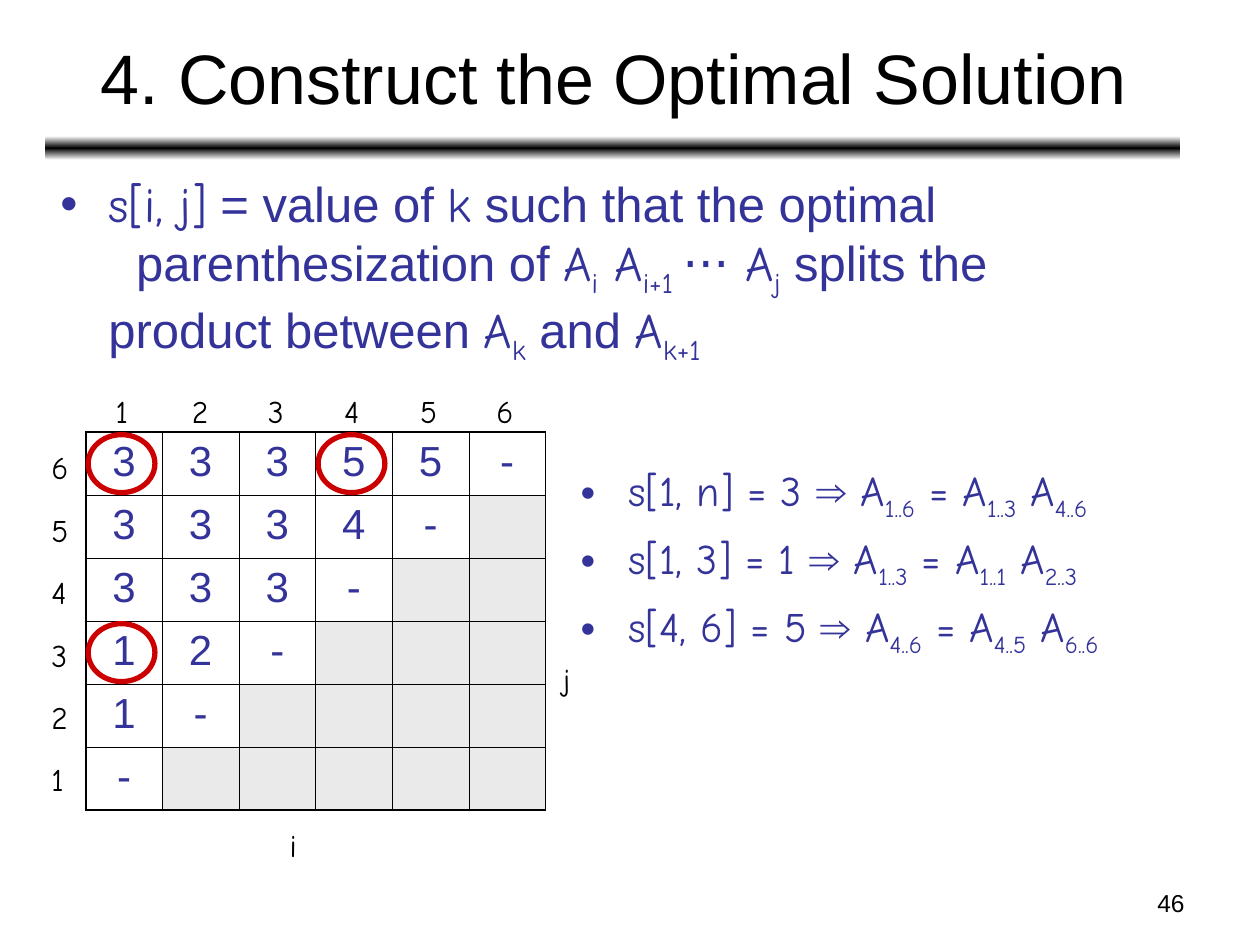
from lxml import etree
from pptx import Presentation
from pptx import util as u
from pptx.dml.color import RGBColor
from pptx.enum import shapes, text
from pptx.oxml import parse_xml
from pptx.oxml.ns import nsdecls, qn

COLUMNS, ROWS = 100, 75
BLACK, INDIGO, GREY, RED = "000000", "333399", "EAEAEA", "CC0000"
SANS, HAND = "Arial", "Comic Neue"
SPLITS = ["33355-", "3334-", "333-", "12-", "1-", "-"]
SIZE = len(SPLITS)
CIRCLED = [(0, 0), (3, 0), (0, 3)]
DEFINITION = [
    (3.8, "•", [("s[i, j]", HAND), (" = value of ", SANS), ("k", HAND),
                (" such that the optimal", SANS)]),
    (6, None, [("parenthesization of ", SANS), ("A", HAND), ("i", "sub"), (" A", HAND),
               ("i+1 ", "sub"), ("⋅⋅⋅", SANS), (" A", HAND), ("j", "sub"),
               (" splits the", SANS)]),
    (3.8, None, [("product between ", SANS), ("A", HAND), ("k", "sub"), (" and ", SANS),
                 ("A", HAND), ("k+1", "sub")]),
]
STEPS = [
    ("s[1, n] = 3 ", "1..6", "1..3", "4..6"),
    ("s[1, 3] = 1 ", "1..3", "1..1", "2..3"),
    ("s[4, 6] = 5 ", "4..6", "4..5", "6..6"),
]

deck = Presentation()
deck.slide_width, deck.slide_height = u.Inches(10), u.Inches(7.5)


def color(value):
    """Turn a hex string into a colour."""
    return RGBColor.from_string(value)


def across(count):
    """Length of a number of grid columns."""
    return u.Emu(int(deck.slide_width * count / COLUMNS))


def down(count):
    """Length of a number of grid rows."""
    return u.Emu(int(deck.slide_height * count / ROWS))


def area(box):
    """Turn a box in grid units into left, top, width and height."""
    left, top, width, height = box
    return across(left), down(top), across(width), down(height)


def assign(target, values):
    """Set attributes from a dict of values."""
    for name, value in values.items():
        setattr(target, name, value)


def place(part, box):
    """Move a placeholder to a box."""
    assign(part, dict(zip(("left", "top", "width", "height"), area(box))))


def write(paragraph, pieces, size, ink):
    """Add runs given as wording with a font name or the word sub."""
    for wording, style in pieces:
        run = paragraph.add_run()
        run.text = wording
        assign(run.font, {"size": u.Pt(size), "name": HAND if style == "sub" else style})
        run.font.color.rgb = color(ink)
        if style == "sub":
            run.font._element.set("baseline", "-25000")


def hang(paragraph, indent, bullet):
    """Give a paragraph its left margin and, if wanted, a hanging bullet."""
    props = paragraph._p.get_or_add_pPr()
    props.set("marL", str(across(indent)))
    props.set("indent", str(-across(indent) if bullet else 0))
    if not bullet:
        etree.SubElement(props, qn("a:buNone"))
        return
    tint = etree.SubElement(props, qn("a:buClr"))
    etree.SubElement(tint, qn("a:srgbClr"), val=INDIGO)
    etree.SubElement(props, qn("a:buFont"), typeface=SANS)
    etree.SubElement(props, qn("a:buChar"), char=bullet)


def add_list(frame, entries, size, gaps):
    """Fill a frame with indented lines."""
    assign(frame, {"word_wrap": True, "auto_size": text.MSO_AUTO_SIZE.NONE})
    for number, (indent, bullet, pieces) in enumerate(entries):
        line = frame.add_paragraph() if number else frame.paragraphs[0]
        line.space_before = u.Pt(gaps if bullet else 0)
        hang(line, indent, bullet)
        write(line, pieces, size, INDIGO)


def add_label(slide, box, wording, size=18, font=HAND, align=text.PP_ALIGN.LEFT, wrap=False):
    """Place a short text."""
    frame = slide.shapes.add_textbox(*area(box)).text_frame
    frame.word_wrap = wrap
    frame.paragraphs[0].alignment = align
    write(frame.paragraphs[0], [(wording, font)], size, BLACK)


def add_rule(slide, box):
    """Draw the shaded bar under the title."""
    bar = slide.shapes.add_shape(shapes.MSO_SHAPE.ROUNDED_RECTANGLE, *area(box))
    bar.shadow.inherit = False
    bar.line.fill.background()
    stops = "".join(f'<a:gs pos="{place_at}"><a:srgbClr val="{shade}"/></a:gs>'
                    for place_at, shade in ((0, "FFFFFF"), (50000, BLACK), (100000, "FFFFFF")))
    bar._element.spPr.find(qn("a:prstGeom")).addnext(parse_xml(
        f'<a:gradFill {nsdecls("a")}><a:gsLst>{stops}</a:gsLst>'
        '<a:lin ang="5400000" scaled="0"/></a:gradFill>'))


def add_heading(slide, box):
    """Fill the title placeholder."""
    title = slide.shapes.title
    place(title, box)
    assign(title.text_frame, {"vertical_anchor": text.MSO_ANCHOR.MIDDLE,
                              "auto_size": text.MSO_AUTO_SIZE.NONE, "word_wrap": True})
    heading = title.text_frame.paragraphs[0]
    heading.alignment = text.PP_ALIGN.CENTER
    write(heading, [("4. Construct the Optimal Solution", SANS)], 40, BLACK)


def add_definition(slide, box):
    """Fill the body placeholder with the meaning of s."""
    body = slide.placeholders[1]
    place(body, box)
    add_list(body.text_frame, DEFINITION, 28, 7)


def add_borders(cell, row, column):
    """Rule a cell, heavier along the outside of the table."""
    outer = {"L": column == 0, "R": column == SIZE - 1, "T": row == 0, "B": row == SIZE - 1}
    for side, heavy in outer.items():
        edge = etree.SubElement(cell._tc.get_or_add_tcPr(), qn(f"a:ln{side}"),
                                w=str(u.Pt(1.08 if heavy else 0.45)))
        fill = etree.SubElement(edge, qn("a:solidFill"))
        etree.SubElement(fill, qn("a:srgbClr"), val=BLACK)


def add_split_table(slide, box):
    """Build the table of split points with its axis labels and circles."""
    left, top, width, height = box
    step_x, step_y = width / SIZE, height / SIZE
    table = slide.shapes.add_table(SIZE, SIZE, *area(box)).table
    assign(table, {"first_row": False, "horz_banding": False})
    for row, splits in enumerate(SPLITS):
        table.rows[row].height = down(step_y)
        table.columns[row].width = across(step_x)
        for column in range(SIZE):
            cell = table.cell(row, column)
            add_borders(cell, row, column)
            if column < len(splits):
                cell.fill.background()
                value = cell.text_frame.paragraphs[0]
                assign(value, {"alignment": text.PP_ALIGN.CENTER, "space_before": u.Pt(6)})
                write(value, [(splits[column], SANS)], 24, INDIGO)
            else:
                cell.fill.solid()
                cell.fill.fore_color.rgb = color(GREY)
    for index in range(SIZE):
        add_label(slide, (left + 1.4 + index * 6.04, top - 3.7, 3.2, 4), str(index + 1))
        add_label(slide, (left - 3.7, top + 0.8 + index * 4.95, 3.2, 4), str(SIZE - index))
    add_label(slide, (left + 15.2, top + height + 0.8, 2.5, 4), "i")
    add_label(slide, (left + width + 0.4, top + 17.6, 2.6, 4), "j")
    for column, row in CIRCLED:
        ring = slide.shapes.add_shape(shapes.MSO_SHAPE.OVAL, *area(
            (left + 0.2 + column * step_x, top + 0.2 + row * step_y, 5.3, 4.6)))
        ring.shadow.inherit = False
        ring.fill.background()
        ring.line.color.rgb = color(RED)
        ring.line.width = u.Pt(3)


def add_steps(slide, box):
    """List how each circled split divides a product."""
    entries = [(3.8, "•", [(split, HAND), ("⇒", SANS), (" A", HAND), (whole, "sub"),
                           (" = A", HAND), (first, "sub"), (" A", HAND), (second, "sub")])
               for split, whole, first, second in STEPS]
    add_list(slide.shapes.add_textbox(*area(box)).text_frame, entries, 24, 6)


def main():
    """Build and save the slide."""
    slide = deck.slides.add_slide(deck.slide_layouts[1])
    add_rule(slide, (3.6, 10.8, 90.1, 1.9))
    add_heading(slide, (3.7, 1.1, 90, 9.9))
    add_definition(slide, (3.8, 13.3, 90, 16.5))
    add_split_table(slide, (6.8, 34.3, 36.5, 30))
    add_steps(slide, (45.1, 36.4, 51.5, 23.7))
    add_label(slide, (71.7, 70, 23.3, 3.5), "46", 14, SANS, text.PP_ALIGN.RIGHT, True)
    deck.save("out.pptx")


if __name__ == "__main__":
    main()
